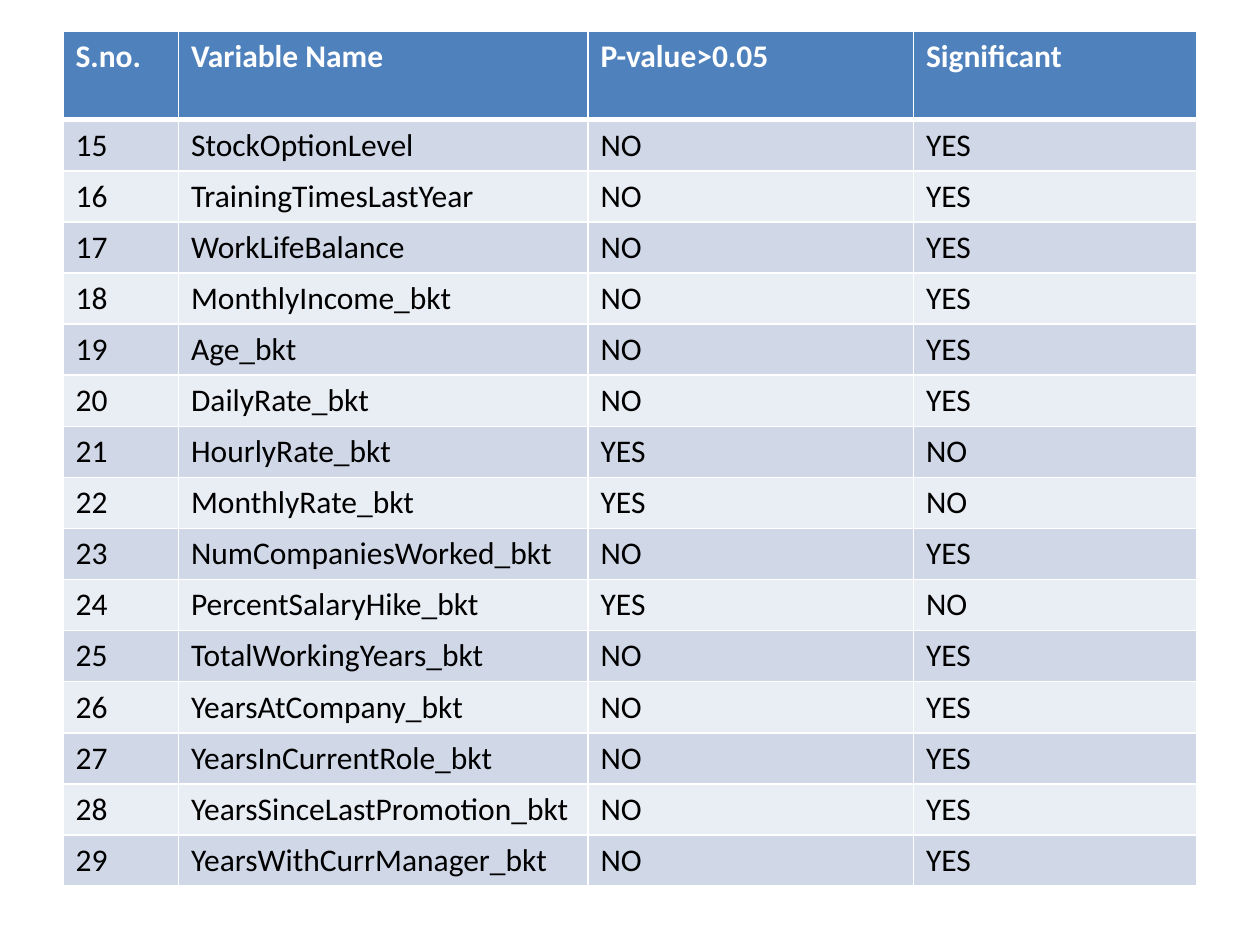
from pptx import Presentation
from pptx.dml.color import RGBColor as Color
from pptx.oxml.ns import qn
from pptx.util import Pt
from lxml.etree import SubElement

WHITE = Color(0xFF, 0xFF, 0xFF)
BLACK = Color(0x00, 0x00, 0x00)
HEADER_BLUE = Color(0x4F, 0x81, 0xBD)
BANDS = (Color(0xD0, 0xD8, 0xE8), Color(0xE9, 0xED, 0xF4))

# Table content
HEADINGS = ("S.no.", "Variable Name", "P-value>0.05", "Significant")
FIRST_NUMBER = 15
VARIABLES = (
    "StockOptionLevel", "TrainingTimesLastYear", "WorkLifeBalance",
    "MonthlyIncome_bkt", "Age_bkt", "DailyRate_bkt", "HourlyRate_bkt",
    "MonthlyRate_bkt", "NumCompaniesWorked_bkt", "PercentSalaryHike_bkt",
    "TotalWorkingYears_bkt", "YearsAtCompany_bkt", "YearsInCurrentRole_bkt",
    "YearsSinceLastPromotion_bkt", "YearsWithCurrManager_bkt",
)
NOT_SIGNIFICANT = {"HourlyRate_bkt", "MonthlyRate_bkt", "PercentSalaryHike_bkt"}

# Table measures in points
COLUMN_WIDTHS = (66, 234, 186, 162)
HEADER_HEIGHT, ROW_HEIGHT = 50.4, 29.2


class SlideBuilder:
    font_name = "Calibri"
    font_size = 18

    def __init__(self, slide):
        self.slide = slide

    def border(self, cell, side, width):
        properties = cell._tc.get_or_add_tcPr()
        line = SubElement(properties, qn("a:" + side), w=str(Pt(width)))
        fill = SubElement(line, qn("a:solidFill"))
        SubElement(fill, qn("a:srgbClr"), val=str(WHITE))

    def cell(self, cell, text, fill, color, bold, top, bottom):
        for side, width in (("lnL", 1), ("lnR", 1), ("lnT", top), ("lnB", bottom)):
            self.border(cell, side, width)
        cell.fill.solid()
        cell.fill.fore_color.rgb = fill
        run = cell.text_frame.paragraphs[0].add_run()
        run.text = text
        run.font.name = self.font_name
        run.font.size = Pt(self.font_size)
        run.font.bold = bold
        run.font.color.rgb = color

    def table(self, left, top, widths, heights, rows):
        frame = self.slide.shapes.add_table(
            len(rows), len(widths), Pt(left), Pt(top),
            Pt(sum(widths)), Pt(sum(heights)))
        table = frame.table
        for column, width in zip(table.columns, widths):
            column.width = Pt(width)
        for index, (row, height, texts) in enumerate(zip(table.rows, heights, rows)):
            row.height = Pt(height)
            header = index == 0
            fill = HEADER_BLUE if header else BANDS[(index - 1) % 2]
            for cell, text in zip(row.cells, texts):
                self.cell(cell, text, fill, WHITE if header else BLACK, header,
                          top=3 if index == 1 else 1, bottom=3 if header else 1)


presentation = Presentation()
presentation.slide_width, presentation.slide_height = Pt(720), Pt(540)
builder = SlideBuilder(presentation.slides.add_slide(presentation.slide_layouts[6]))

# Significance table
rows = [HEADINGS]
for number, variable in enumerate(VARIABLES, FIRST_NUMBER):
    answers = ("YES", "NO") if variable in NOT_SIGNIFICANT else ("NO", "YES")
    rows.append((str(number), variable, *answers))
heights = [HEADER_HEIGHT] + [ROW_HEIGHT] * len(VARIABLES)
builder.table(36, 18, COLUMN_WIDTHS, heights, rows)

presentation.save("out.pptx")
